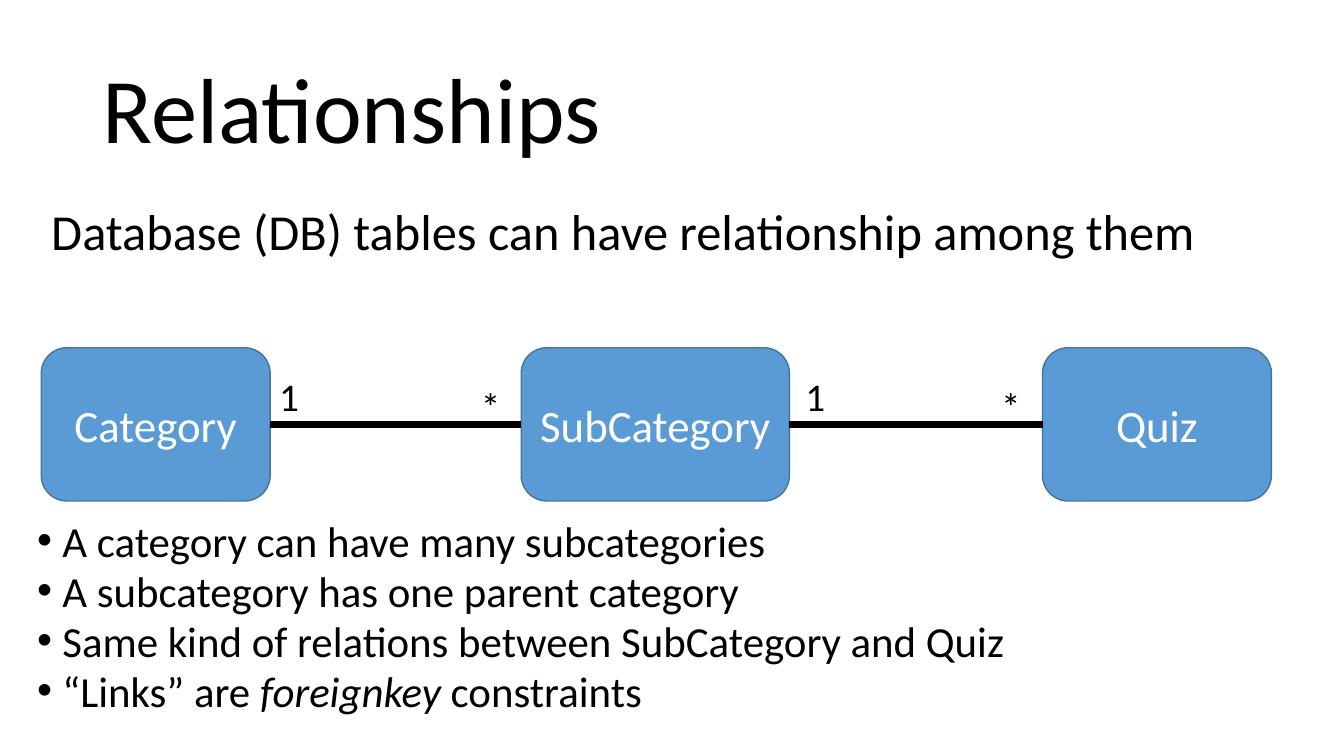
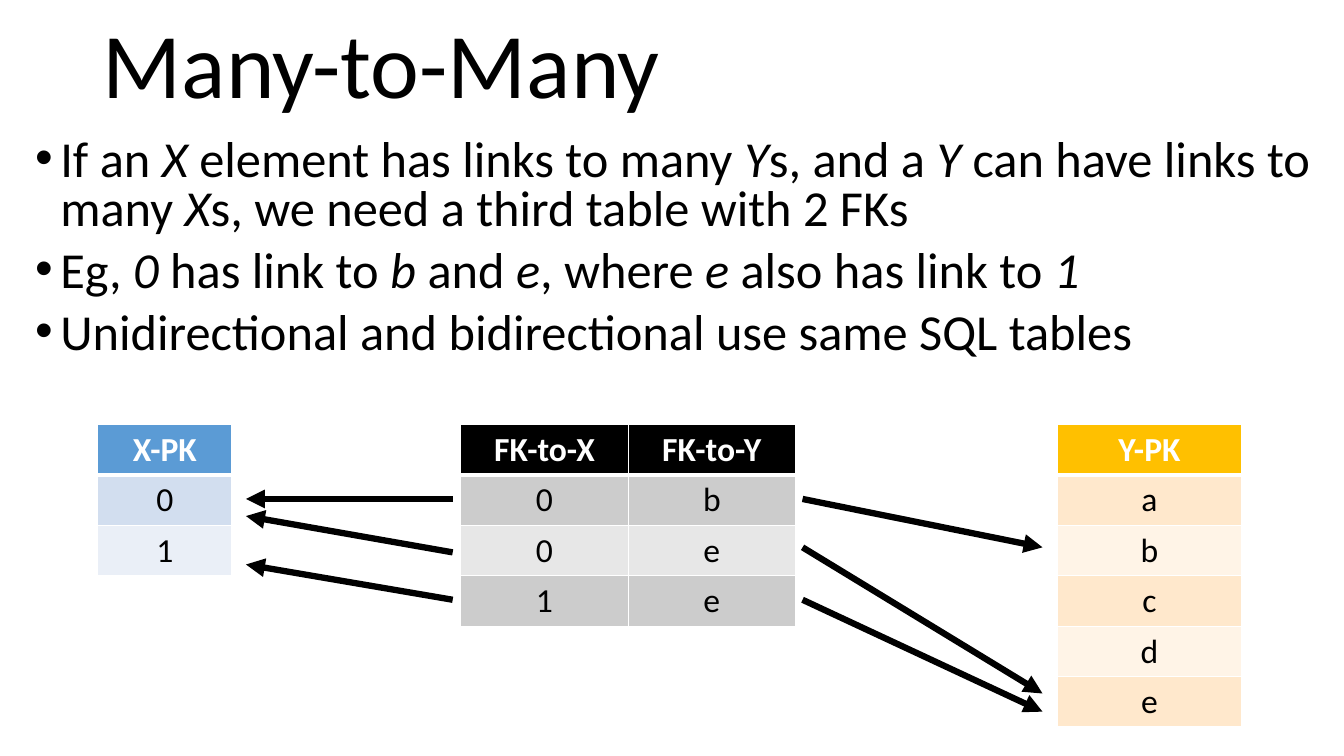
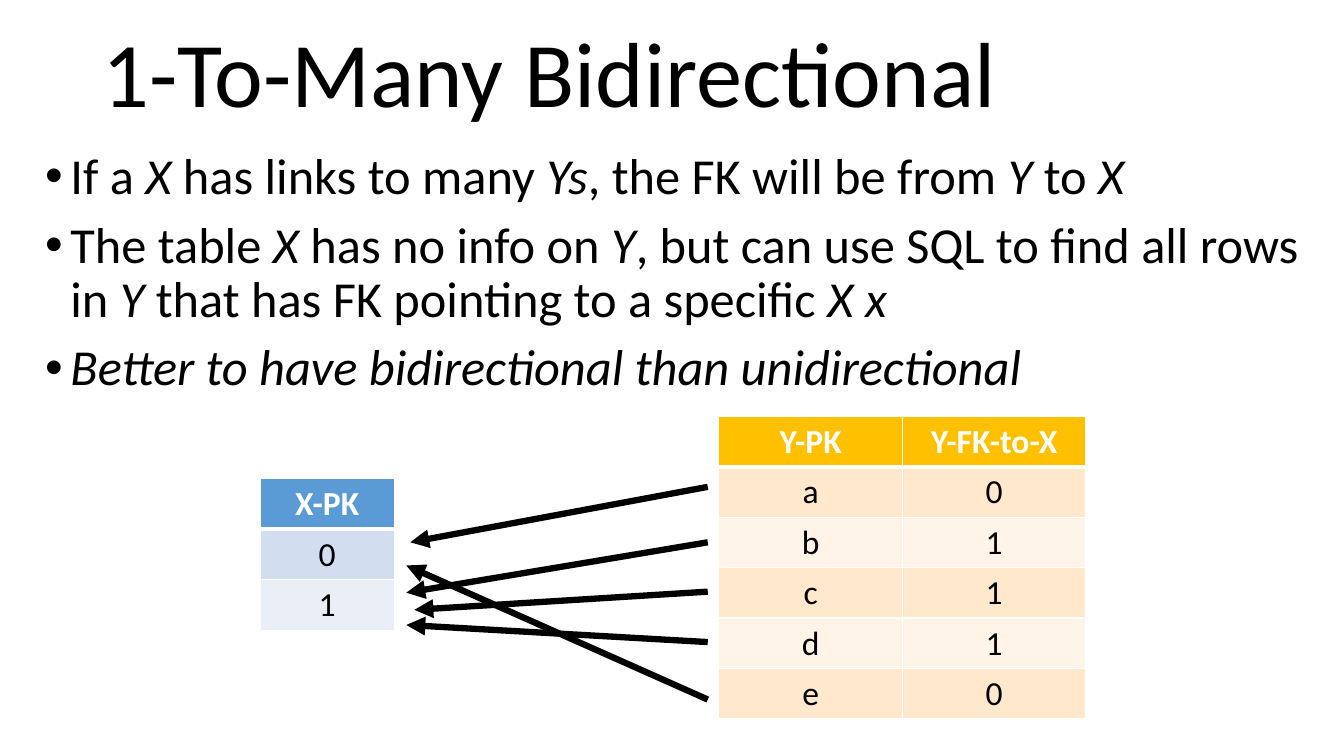
from dataclasses import dataclass
from itertools import pairwise

from lxml import etree
from pptx import Presentation
from pptx.dml.color import RGBColor
from pptx.enum.shapes import MSO_CONNECTOR, MSO_SHAPE
from pptx.enum.text import MSO_ANCHOR, MSO_AUTO_SIZE, PP_ALIGN
from pptx.oxml.ns import qn
from pptx.util import Inches, Pt

STRAIGHT = MSO_CONNECTOR.STRAIGHT
ROUNDED = MSO_SHAPE.ROUNDED_RECTANGLE
MIDDLE = MSO_ANCHOR.MIDDLE
NO_AUTOFIT = MSO_AUTO_SIZE.NONE
LEFT, CENTER = PP_ALIGN.LEFT, PP_ALIGN.CENTER

FONT = "Calibri"
BLACK, WHITE = "000000", "FFFFFF"
BLUE, BLUE_EDGE = "5B9BD5", "43739E"
TITLE_LAYOUT = 5
ROW_HEIGHT = 0.5
LEFT_SITE, RIGHT_SITE = 1, 3


@dataclass(frozen=True)
class Box:
    left: float
    top: float
    width: float
    height: float

    def lengths(self) -> tuple:
        return tuple(Inches(v) for v in (self.left, self.top, self.width, self.height))


@dataclass(frozen=True)
class Palette:
    header: str
    odd: str
    even: str


@dataclass(frozen=True)
class Grid:
    left: float
    top: float
    col_width: float
    palette: Palette
    rows: list[str]


@dataclass(frozen=True)
class Arrow:
    x1: float
    y1: float
    x2: float
    y2: float


X_COLORS = Palette(BLUE, "D2DEEF", "EAEFF7")
Y_COLORS = Palette("FFC000", "FFE8CC", "FFF4E7")
LINK_COLORS = Palette(BLACK, "CCCCCC", "E7E7E7")


def rgb(color: str) -> RGBColor:
    return RGBColor.from_string(color)


def format_runs(p, size: float, color: str = BLACK, bold: bool = False) -> None:
    for r in p.runs:
        r.font.name = FONT
        r.font.size = Pt(size)
        r.font.bold = bold
        r.font.color.rgb = rgb(color)


def add_marked_runs(p, text: str) -> None:
    for i, part in enumerate(text.split("_")):
        if part:
            r = p.add_run()
            r.text = part
            r.font.italic = i % 2 == 1


def add_bullet(p) -> None:
    pPr = p._p.get_or_add_pPr()
    pPr.set("marL", str(Inches(0.25)))
    pPr.set("indent", str(Inches(-0.25)))
    etree.SubElement(pPr, qn("a:buFont"), typeface="Arial")
    etree.SubElement(pPr, qn("a:buChar"), char="•")


def add_titled_slide(prs, title: str, top: float, height: float):
    s = prs.slides.add_slide(prs.slide_layouts[TITLE_LAYOUT])
    sp = s.shapes.title
    sp.left, sp.top, sp.width, sp.height = Box(0.92, top, 11.5, height).lengths()
    tf = sp.text_frame
    tf.text = title
    tf.auto_size = NO_AUTOFIT
    tf.vertical_anchor = MIDDLE
    p = tf.paragraphs[0]
    p.alignment = LEFT
    p.line_spacing = 0.9
    format_runs(p, 66)
    return s


def add_body(s, box: Box, lines: list[str], spacing: float, size: float = 36,
             bullets: bool = True) -> None:
    tf = s.shapes.add_textbox(*box.lengths()).text_frame
    tf.word_wrap = True
    for i, line in enumerate(lines):
        p = tf.add_paragraph() if i else tf.paragraphs[0]
        p.line_spacing = spacing
        p.space_before = Pt(10)
        if bullets:
            add_bullet(p)
        add_marked_runs(p, line)
        format_runs(p, size)


def add_entity(s, left: float, width: float, name: str):
    sp = s.shapes.add_shape(ROUNDED, *Box(left, 3.45, width, 1.52).lengths())
    sp.shadow.inherit = False
    sp.fill.solid()
    sp.fill.fore_color.rgb = rgb(BLUE)
    sp.line.color.rgb = rgb(BLUE_EDGE)
    sp.line.width = Pt(1)
    tf = sp.text_frame
    tf.text = name
    tf.vertical_anchor = MIDDLE
    p = tf.paragraphs[0]
    p.alignment = CENTER
    format_runs(p, 32, WHITE)
    return sp


def add_multiplicity(s, left: float, top: float, text: str) -> None:
    tf = s.shapes.add_textbox(*Box(left, top, 0.45, 0.57).lengths()).text_frame
    tf.word_wrap = True
    tf.text = text
    format_runs(tf.paragraphs[0], 28)


def add_line(s, x1: float, y1: float, x2: float, y2: float, width: float):
    line = s.shapes.add_connector(STRAIGHT, *(Inches(v) for v in (x1, y1, x2, y2)))
    line.line.color.rgb = rgb(BLACK)
    line.line.width = Pt(width)
    etree.SubElement(line._element.spPr, qn("a:effectLst"))
    return line


def add_arrows(s, arrows: list[Arrow]) -> None:
    for a in arrows:
        line = add_line(s, a.x1, a.y1, a.x2, a.y2, 4.5)
        etree.SubElement(line.line._get_or_add_ln(), qn("a:tailEnd"), type="triangle")


def set_borders(cell, row: int) -> None:
    tcPr = cell._tc.get_or_add_tcPr()
    widths = {"lnL": 1, "lnR": 1, "lnT": 3 if row == 1 else 1, "lnB": 1 if row else 3}
    for side, width in widths.items():
        ln = etree.SubElement(tcPr, qn(f"a:{side}"), w=str(Pt(width)))
        fill = etree.SubElement(ln, qn("a:solidFill"))
        etree.SubElement(fill, qn("a:srgbClr"), val=WHITE)


def add_grid(s, grid: Grid) -> None:
    rows = [row.split() for row in grid.rows]
    n_rows, n_cols = len(rows), len(rows[0])
    box = Box(grid.left, grid.top, grid.col_width * n_cols, ROW_HEIGHT * n_rows)
    table = s.shapes.add_table(n_rows, n_cols, *box.lengths()).table
    colors = grid.palette
    for i, row in enumerate(rows):
        fill = (colors.odd if i % 2 else colors.even) if i else colors.header
        for j, text in enumerate(row):
            cell = table.cell(i, j)
            set_borders(cell, i)
            cell.fill.solid()
            cell.fill.fore_color.rgb = rgb(fill)
            cell.text_frame.text = text
            p = cell.text_frame.paragraphs[0]
            p.alignment = CENTER
            format_runs(p, 24, BLACK if i else WHITE, bold=i == 0)


def build_relationships(prs) -> None:
    s = add_titled_slide(prs, "Relationships", 0.4, 1.45)
    add_body(s, Box(0.41, 2, 12.68, 0.85),
             ["Database (DB) tables can have relationship among them"], 0.9, bullets=False)
    entities = [add_entity(s, left, width, name) for left, width, name in (
        (0.41, 2.27, "Category"), (5.17, 2.66, "SubCategory"), (10.34, 2.27, "Quiz"))]
    for parent, child in pairwise(entities):
        line = add_line(s, 0, 0, 0, 0, 5)
        line.begin_connect(parent, RIGHT_SITE)
        line.end_connect(child, LEFT_SITE)
    for one_left, many_left in ((2.67, 4.67), (7.89, 9.83)):
        add_multiplicity(s, one_left, 3.64, "1")
        add_multiplicity(s, many_left, 3.74, "*")
    add_body(s, Box(0.27, 5.2, 12.68, 2.16), [
        "A category can have many subcategories",
        "A subcategory has one parent category",
        "Same kind of relations between SubCategory and Quiz",
        "“Links” are _foreignkey_ constraints",
    ], 0.7, 30.6)


def build_many_to_many(prs) -> None:
    s = add_titled_slide(prs, "Many-to-Many", 0.09, 1.18)
    add_body(s, Box(0.25, 1.33, 12.88, 2.35), [
        "If an _X_ element has links to many _Y_s, and a _Y_ can have links to many _X_s, "
        "we need a third table with 2 FKs",
        "Eg, _0_ has link to _b _and _e_, where _e_ also has link to _1_",
        "Unidirectional and bidirectional use same SQL tables",
    ], 0.8)
    top = 4.21
    add_grid(s, Grid(0.97, top, 1.33, X_COLORS, ["X-PK", "0", "1"]))
    add_grid(s, Grid(10.49, top, 1.82, Y_COLORS, ["Y-PK", *"abcde"]))
    add_grid(s, Grid(4.57, top, 1.66, LINK_COLORS, ["FK-to-X FK-to-Y", "0 b", "0 e", "1 e"]))
    to_x = ((4.95, 4.95), (5.48, 5.12), (5.95, 5.6))
    to_y = ((4.95, 5.43), (5.95, 7.06), (5.43, 6.88))
    add_arrows(s, [Arrow(4.49, y1, 2.44, y2) for y1, y2 in to_x])
    add_arrows(s, [Arrow(7.96, y1, 10.34, y2) for y1, y2 in to_y])


def build_one_to_many(prs) -> None:
    s = add_titled_slide(prs, "1-To-Many Bidirectional", 0.2, 1.14)
    add_body(s, Box(0.35, 1.45, 12.77, 2.54), [
        "If a _X_ has links to many _Ys_, the FK will be from _Y_ to _X_",
        "The table _X_ has no info on _Y_, but can use SQL to find all rows in _Y_ "
        "that has FK pointing to a specific _X x_",
        "_Better to have bidirectional than unidirectional_",
    ], 0.9)
    add_grid(s, Grid(2.58, 4.75, 1.33, X_COLORS, ["X-PK", "0", "1"]))
    add_grid(s, Grid(7.13, 4.13, 1.82, Y_COLORS,
                     ["Y-PK Y-FK-to-X", "a 0", "b 1", "c 1", "d 1", "e 0"]))
    ends = ((4.83, 4.07, 5.38), (5.38, 4.03, 5.88), (5.87, 4.11, 6.05),
            (6.37, 4.03, 6.2), (6.94, 4.03, 5.61))
    add_arrows(s, [Arrow(7.02, y1, x2, y2) for y1, x2, y2 in ends])


def main() -> None:
    prs = Presentation()
    prs.slide_width, prs.slide_height = Inches(13.33), Inches(7.5)
    build_relationships(prs)
    build_many_to_many(prs)
    build_one_to_many(prs)
    prs.save("out.pptx")


if __name__ == "__main__":
    main()
